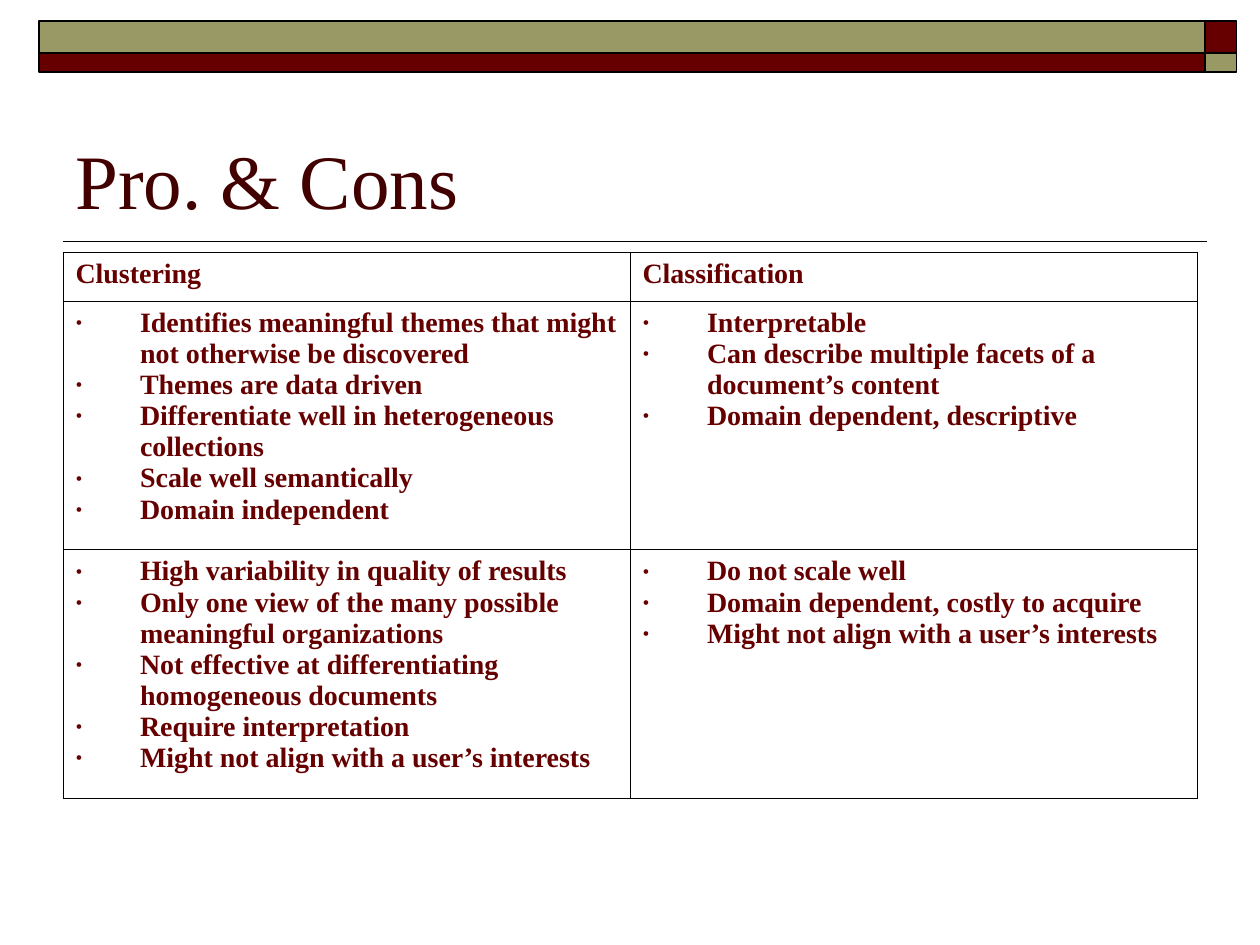
from dataclasses import dataclass
from itertools import product

from lxml.etree import SubElement
from pptx import Presentation
from pptx.dml.color import RGBColor as Color
from pptx.enum.shapes import MSO_CONNECTOR as Connector, MSO_SHAPE as Shape
from pptx.enum.text import MSO_ANCHOR as Anchor
from pptx.oxml.ns import qn
from pptx.util import Cm, Pt


@dataclass(frozen=True)
class Theme:
    """Colours, font and type sizes of the slide."""

    maroon: str = "660000"
    olive: str = "999966"
    title: str = "420000"
    line: str = "000000"
    font: str = "Times New Roman"
    title_size: int = 44
    body_size: int = 16
    line_width: float = 1
    border_width: float = 0.45
    bullet_percent: int = 70
    indent: float = 1.3


def write(paragraph, text, *, font, size, color, bold=False):
    """Add text to a paragraph in the given format."""
    run = paragraph.add_run()
    run.text = text
    run.font.name = font
    run.font.size = Pt(size)
    run.font.bold = bold
    run.font.color.rgb = Color.from_string(color)


class SlideBuilder:
    """Draws styled elements on the current slide."""

    def __init__(self, slide, theme):
        """Keep the slide and its theme."""
        self.slide = slide
        self.theme = theme

    def bar(self, left, top, width, height, fill):
        """Draw an outlined rectangle."""
        shape = self.slide.shapes.add_shape(
            Shape.RECTANGLE, Cm(left), Cm(top), Cm(width), Cm(height))
        shape.shadow.inherit = False
        shape.fill.solid()
        shape.fill.fore_color.rgb = Color.from_string(fill)
        self.outline(shape.line)

    def outline(self, line):
        """Give a line the theme's colour and width."""
        line.color.rgb = Color.from_string(self.theme.line)
        line.width = Pt(self.theme.line_width)

    def rule(self, left, right, top):
        """Draw a horizontal line."""
        connector = self.slide.shapes.add_connector(
            Connector.STRAIGHT, Cm(left), Cm(top), Cm(right), Cm(top))
        self.outline(connector.line)
        SubElement(connector._element.spPr, qn("a:effectLst"))

    def title(self, text, left, top, width, height):
        """Write the slide title, resting on the bottom of its box."""
        shape = self.slide.shapes.add_textbox(Cm(left), Cm(top), Cm(width), Cm(height))
        frame = shape.text_frame
        frame.word_wrap = True
        frame.vertical_anchor = Anchor.BOTTOM
        write(frame.paragraphs[0], text, font=self.theme.font,
              size=self.theme.title_size, color=self.theme.title)

    def table(self, rows, left, top, width, heights):
        """Draw a table of equal columns with a header row."""
        columns = len(rows[0])
        table = self.slide.shapes.add_table(
            len(rows), columns, Cm(left), Cm(top), Cm(width), Cm(sum(heights))).table
        table.first_row = table.horz_banding = False
        for column in table.columns:
            column.width = Cm(width / columns)
        for row, height in zip(table.rows, heights):
            row.height = Cm(height)
        for row, column in product(range(len(rows)), range(columns)):
            self.cell(table.cell(row, column), rows[row][column], bulleted=row > 0)

    def cell(self, cell, lines, bulleted):
        """Fill a table cell with one paragraph per line."""
        self.borders(cell)
        cell.fill.background()
        frame = cell.text_frame
        for index, text in enumerate(lines):
            paragraph = frame.add_paragraph() if index else frame.paragraphs[0]
            self.hang(paragraph, bulleted)
            write(paragraph, text, font=self.theme.font, size=self.theme.body_size,
                  color=self.theme.maroon, bold=True)

    def borders(self, cell):
        """Line all four sides of a cell."""
        properties = cell._tc.get_or_add_tcPr()
        for side in ("a:lnL", "a:lnR", "a:lnT", "a:lnB"):
            line = SubElement(properties, qn(side), w=str(Pt(self.theme.border_width)))
            fill = SubElement(line, qn("a:solidFill"))
            SubElement(fill, qn("a:srgbClr"), val=self.theme.line)

    def hang(self, paragraph, bulleted):
        """Set a hanging indent, with a bullet if wanted."""
        properties = paragraph._p.get_or_add_pPr()
        indent = Cm(self.theme.indent)
        properties.set("marL", str(indent))
        properties.set("indent", str(-indent))
        if bulleted:
            color = SubElement(properties, qn("a:buClr"))
            SubElement(color, qn("a:srgbClr"), val=self.theme.maroon)
            SubElement(properties, qn("a:buSzPct"), val=str(self.theme.bullet_percent * 1000))
            SubElement(properties, qn("a:buFont"), typeface=self.theme.font)
            SubElement(properties, qn("a:buChar"), char="•")


COMPARISON = [
    [["Clustering"], ["Classification"]],
    [
        ["Identifies meaningful themes that might not otherwise be discovered",
         "Themes are data driven",
         "Differentiate well in heterogeneous collections",
         "Scale well semantically",
         "Domain independent"],
        ["Interpretable",
         "Can describe multiple facets of a document’s content",
         "Domain dependent, descriptive"],
    ],
    [
        ["High variability in quality of results",
         "Only one view of the many possible meaningful organizations",
         "Not effective at differentiating homogeneous documents",
         "Require interpretation",
         "Might not align with a user’s interests"],
        ["Do not scale well",
         "Domain dependent, costly to acquire",
         "Might not align with a user’s interests"],
    ],
]


def main():
    """Build the slide and save it."""
    presentation = Presentation()
    presentation.slide_width, presentation.slide_height = Cm(25.4), Cm(19.05)
    slide = presentation.slides.add_slide(presentation.slide_layouts[6])
    theme = Theme()
    builder = SlideBuilder(slide, theme)

    builder.rule(1.27, 24.33, 4.87)
    left, top, long, short, thin = 0.79, 0.43, 23.5, 0.64, 0.38
    builder.bar(left + long, top, short, short, theme.maroon)
    builder.bar(left, top, long, short, theme.olive)
    builder.bar(left, top + short, long, thin, theme.maroon)
    builder.bar(left + long, top + short, short, thin, theme.olive)

    builder.title("Pro. & Cons", 1.27, 1.47, 22.86, 3.18)
    builder.table(COMPARISON, 1.27, 5.08, 22.86, [0.99, 5.01, 5.01])
    presentation.save("out.pptx")


if __name__ == "__main__":
    main()
